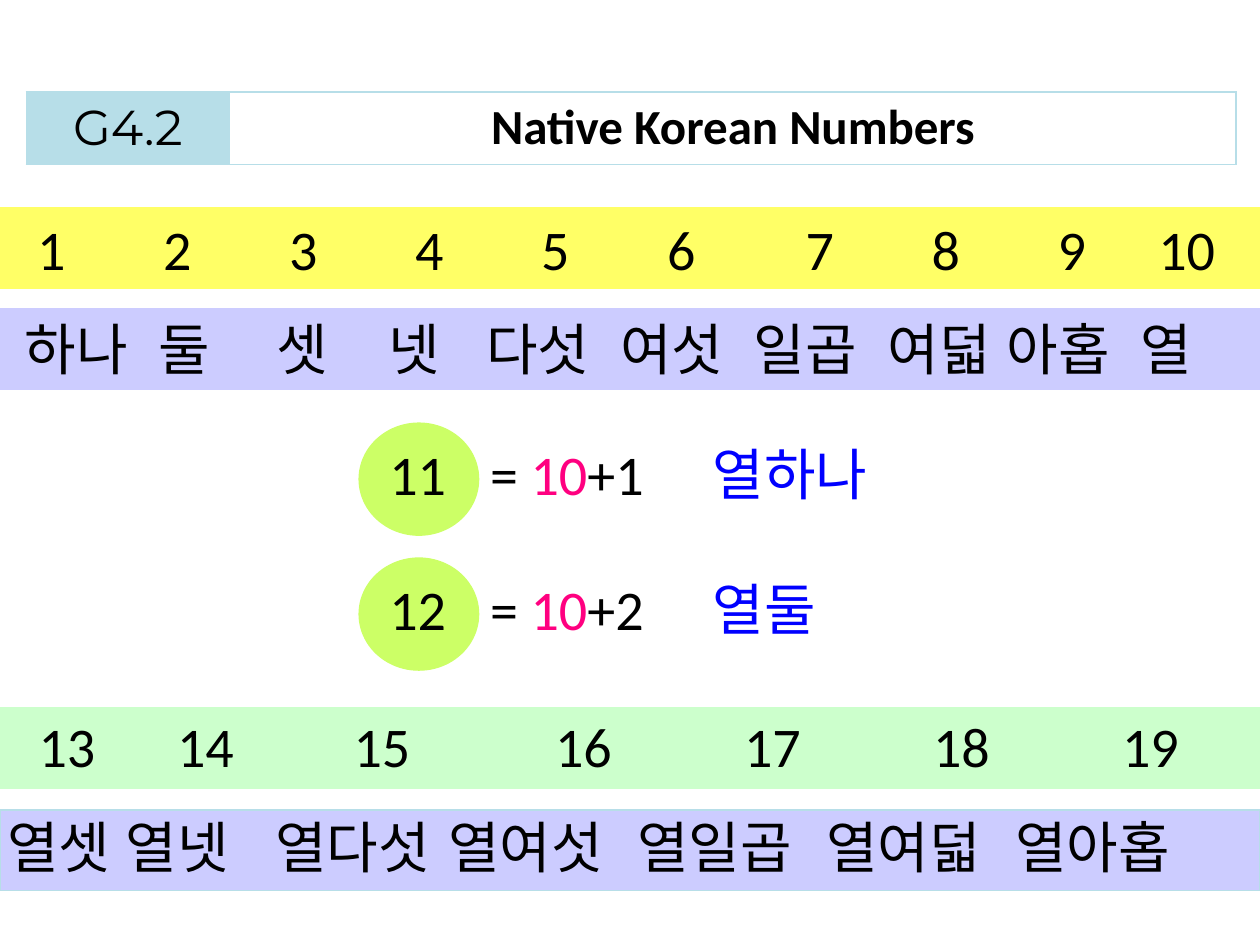
from dataclasses import dataclass

from lxml import etree
from pptx import Presentation
from pptx.dml.color import RGBColor
from pptx.enum.shapes import MSO_SHAPE
from pptx.enum.text import PP_ALIGN
from pptx.oxml.ns import qn
from pptx.util import Cm, Pt

RECTANGLE = MSO_SHAPE.RECTANGLE
OVAL = MSO_SHAPE.OVAL
CENTER = PP_ALIGN.CENTER


@dataclass(frozen=True)
class Theme:
    black: str = "000000"
    white: str = "FFFFFF"
    sky: str = "B7DEE8"
    yellow: str = "FFFF66"
    lilac: str = "CCCCFF"
    lime: str = "CCFF66"
    mint: str = "CCFFCC"
    pink: str = "FF0080"
    blue: str = "0000FF"
    latin: str = "Calibri"
    korean: str = "Noto Sans CJK KR"
    label: str = "Montserrat"
    heading_size: int = 28
    body_size: int = 32


THEME = Theme()
PAGE_WIDTH, PAGE_HEIGHT = 25.4, 19.05
LINE_HEIGHT = 1.63
INSET = 0.25


def write_text(frame, spans, font=THEME.latin, size=THEME.body_size,
               bold=False, align=None, tabs=()):
    para = frame.paragraphs[0]
    para.alignment = align
    if tabs:
        properties = para._p.get_or_add_pPr()
        tab_list = etree.SubElement(properties, qn("a:tabLst"))
        for stop in tabs:
            etree.SubElement(tab_list, qn("a:tab"), pos=str(Cm(stop)), algn="l")
    for text, color in spans:
        span = para.add_run()
        span.text = text
        span.font.name = font
        span.font.size = Pt(size)
        span.font.bold = bold
        span.font.color.rgb = RGBColor.from_string(color)
        etree.SubElement(span._r.get_or_add_rPr(), qn("a:ea"), typeface=font)


def add_text(page, left, top, width, spans, **text_format):
    box = page.shapes.add_textbox(Cm(left), Cm(top), Cm(width), Cm(LINE_HEIGHT))
    box.text_frame.word_wrap = True
    write_text(box.text_frame, spans, **text_format)


def add_block(page, kind, left, top, width, height, fill, line):
    block = page.shapes.add_shape(kind, Cm(left), Cm(top), Cm(width), Cm(height))
    block.shadow.inherit = False
    block.fill.solid()
    block.fill.fore_color.rgb = RGBColor.from_string(fill)
    block.line.color.rgb = RGBColor.from_string(line)
    block.line.width = Pt(0.75)


def set_borders(cell, color):
    properties = cell._tc.get_or_add_tcPr()
    for index, side in enumerate(("lnL", "lnR", "lnT", "lnB")):
        border = etree.Element(qn(f"a:{side}"), w=str(Pt(1)))
        fill = etree.SubElement(border, qn("a:solidFill"))
        etree.SubElement(fill, qn("a:srgbClr"), val=color)
        properties.insert(index, border)


def add_heading(page, left, top, height):
    columns = (
        (4.1, "G4.2", THEME.label, THEME.sky, False),
        (20.29, "Native Korean Numbers", THEME.latin, THEME.white, True),
    )
    total = sum(column[0] for column in columns)
    table = page.shapes.add_table(
        1, len(columns), Cm(left), Cm(top), Cm(total), Cm(height)).table
    for index, (width, text, font, fill, bold) in enumerate(columns):
        table.columns[index].width = Cm(width)
        cell = table.cell(0, index)
        cell.fill.solid()
        cell.fill.fore_color.rgb = RGBColor.from_string(fill)
        set_borders(cell, THEME.sky)
        write_text(cell.text_frame, [(text, THEME.black)], font=font,
                   size=THEME.heading_size, bold=bold, align=CENTER)


def add_strip(page, top, words, tabs, fill, line, font, indent, rise=0):
    add_block(page, RECTANGLE, 0, top, PAGE_WIDTH, LINE_HEIGHT, fill, line)
    add_text(page, indent, top - rise, PAGE_WIDTH - indent,
             [("\t".join(words), THEME.black)], font=font, tabs=tabs)


def add_sum(page, left, top, number, unit, reading):
    add_block(page, OVAL, left, top, 2.41, 2.26, THEME.lime, THEME.lime)
    text_top = top + 0.2
    add_text(page, left + 0.36, text_top, 1.7, [(number, THEME.black)])
    add_text(page, left + 2.39, text_top, 3.8,
             [("= ", THEME.black), ("10", THEME.pink), (f"+{unit}", THEME.black)])
    add_text(page, left + 6.88, text_top, 1.05 * len(reading) + 2 * INSET + 0.1,
             [(reading, THEME.blue)], font=THEME.korean)


def main():
    deck = Presentation()
    deck.slide_width, deck.slide_height = Cm(PAGE_WIDTH), Cm(PAGE_HEIGHT)
    page = deck.slides.add_slide(deck.slide_layouts[6])

    add_heading(page, 0.53, 1.85, 1.43)

    add_strip(page, 4.19, [str(number) for number in range(1, 11)],
              (2.54, 5.08, 7.62, 10.16, 12.7, 15.49, 18.03, 20.57, 22.6),
              THEME.yellow, THEME.yellow, THEME.latin, 0.5)
    add_strip(page, 6.22,
              ("하나", "둘", "셋", "넷", "다섯", "여섯", "일곱", "여덟", "아홉", "열"),
              (2.69, 5.08, 7.34, 9.3, 12, 14.7, 17.4, 19.8, 22.5),
              THEME.lilac, THEME.lilac, THEME.korean, 0.25)

    sums = (("11", 1, "열하나"), ("12", 2, "열둘"))
    for index, (number, unit, reading) in enumerate(sums):
        add_sum(page, 7.24, 8.53 + 2.72 * index, number, unit, reading)

    add_strip(page, 14.27, [str(number) for number in range(13, 20)],
              (2.79, 6.35, 10.41, 14.22, 18.03, 21.84),
              THEME.mint, THEME.mint, THEME.latin, 0.53, rise=0.05)
    add_strip(page, 16.33,
              ("열셋", "열넷", "열다섯", "열여섯", "열일곱", "열여덟", "열아홉"),
              (2.39, 5.4, 8.89, 12.7, 16.51, 20.32),
              THEME.lilac, THEME.sky, THEME.korean, -0.1, rise=0.08)

    deck.save("out.pptx")


if __name__ == "__main__":
    main()
